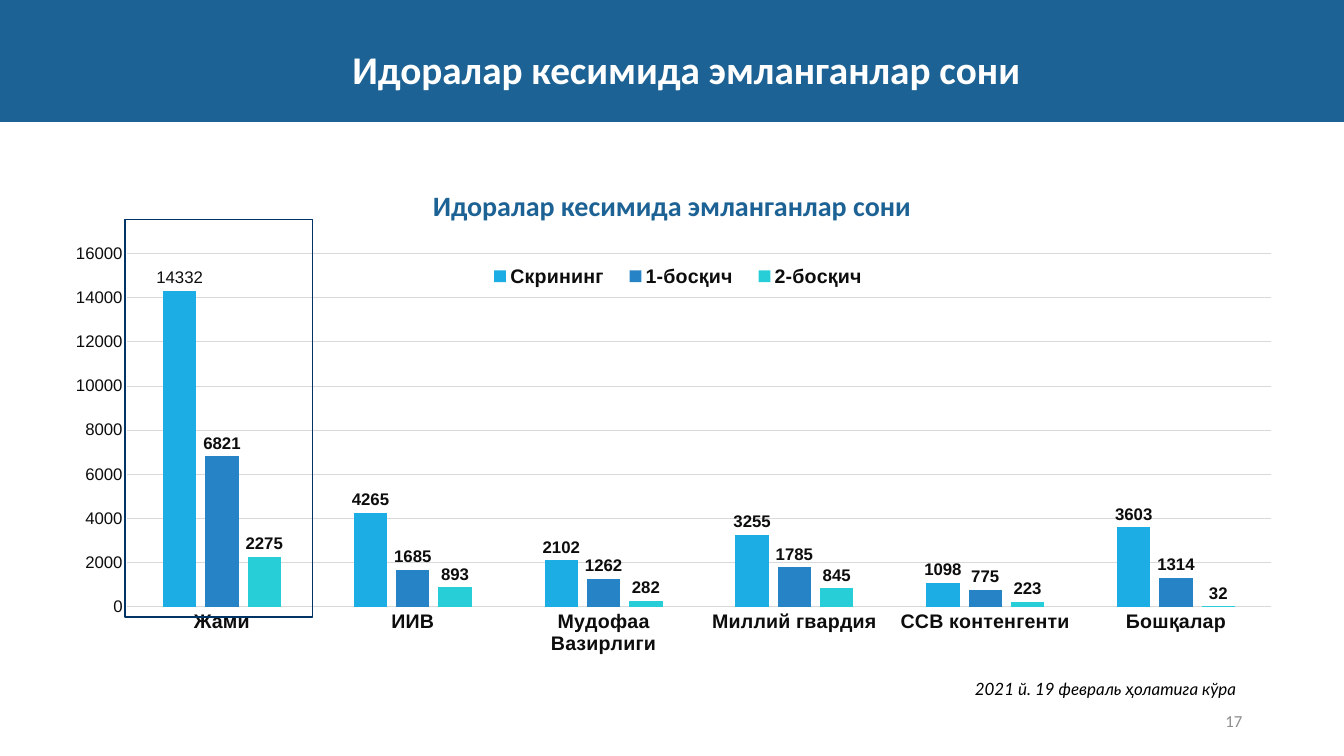
from dataclasses import dataclass
from typing import Any

from lxml import etree
from pptx import Presentation
from pptx import util as u
from pptx.chart import data as cd
from pptx.dml import color as col
from pptx.enum import chart as ec
from pptx.enum import shapes as es
from pptx.enum import text as et

HEAD = "Идоралар кесимида эмланганлар сони"
INK = "0D0D0D"
GRID = "D9D9D9"
LEFT, MID, RIGHT = et.PP_ALIGN.LEFT, et.PP_ALIGN.CENTER, et.PP_ALIGN.RIGHT
TOP, HALF = et.MSO_ANCHOR.TOP, et.MSO_ANCHOR.MIDDLE
CATS = ["Жами", "ИИВ", "Мудофаа Вазирлиги", "Миллий гвардия",
        "ССВ контенгенти", "Бошқалар"]


@dataclass
class Box:
    left: float
    top: float
    width: float
    height: float

    def lens(self) -> list[int]:
        return [u.Inches(n) for n in (self.left, self.top, self.width, self.height)]


@dataclass
class Label:
    box: Box
    words: str
    size: float
    hue: str
    face: str = "Calibri"
    bold: bool = False
    slant: bool = False
    align: Any = MID
    anchor: Any = TOP


@dataclass
class Stage:
    name: str
    hue: str
    vals: list[int]


TITLE = Label(Box(0.52, 0.4, 12.57, 0.57), HEAD, 28, "FFFFFF", bold=True)
LABELS = [
    Label(Box(9.57, 6.68, 3.01, 0.31), "2021 й. 19 февраль ҳолатига кўра", 12.1,
          "000000", face="Lato", slant=True, align=LEFT),
    Label(Box(0.38, 1.82, 12.57, 0.44), HEAD, 20, "1D6295", bold=True),
    Label(Box(9.42, 6.95, 3, 0.4), "17", 12, "8C8C8C", align=RIGHT, anchor=HALF),
]
STAGES = [
    Stage("Скрининг", "1CADE4", [14323, 4265, 2102, 3255, 1098, 3603]),
    Stage("1-босқич", "2683C6", [6821, 1685, 1262, 1785, 775, 1314]),
    Stage("2-босқич", "27CED7", [2275, 893, 282, 845, 223, 32]),
]


def rgb(code: str) -> col.RGBColor:
    return col.RGBColor.from_string(code)


def put(item: Any, vals: dict[str, Any]) -> None:
    for key, val in vals.items():
        setattr(item, key, val)


def style(font: Any, size: float, hue: str = INK, face: str = "Arial",
          bold: bool = False, slant: bool = False) -> None:
    put(font, {"size": u.Pt(size), "name": face, "bold": bold, "italic": slant})
    font.color.rgb = rgb(hue)


def rule(line: Any, hue: str, width: float) -> None:
    line.color.rgb = rgb(hue)
    line.width = u.Pt(width)


def write(shape: Any, label: Label) -> None:
    frame = shape.text_frame
    put(frame, {"word_wrap": True, "auto_size": et.MSO_AUTO_SIZE.NONE,
                "vertical_anchor": label.anchor})
    para = frame.paragraphs[0]
    para.alignment = label.align
    run = para.add_run()
    run.text = label.words
    style(run.font, label.size, label.hue, label.face, label.bold, label.slant)


def block(slide: Any, box: Box) -> Any:
    shape = slide.shapes.add_shape(es.MSO_SHAPE.RECTANGLE, *box.lens())
    shape.shadow.inherit = False
    return shape


def place(part: Any, x: float, y: float, w: float, h: float, inner: bool) -> None:
    space = "http://schemas.openxmlformats.org/drawingml/2006/chart"
    tag = "{" + space + "}"
    for old in part.findall(tag + "layout"):
        part.remove(old)
    lay = etree.Element(tag + "layout")
    man = etree.SubElement(lay, tag + "manualLayout")
    items = {"xMode": "edge", "yMode": "edge", "x": x, "y": y, "w": w, "h": h}
    if inner:
        items = {"layoutTarget": "inner", **items}
    for key, val in items.items():
        etree.SubElement(man, tag + key).set("val", str(val))
    spot = part.find(tag + "legendPos")
    if spot is None:
        part.insert(0, lay)
    else:
        spot.addnext(lay)


def graph(slide: Any, box: Box) -> None:
    data = cd.CategoryChartData()
    data.categories = CATS
    for stage in STAGES:
        data.add_series(stage.name, stage.vals)
    chart = slide.shapes.add_chart(
        ec.XL_CHART_TYPE.COLUMN_CLUSTERED, *box.lens(), data).chart
    put(chart, {"has_title": False, "has_legend": True})
    style(chart.font, 12)

    legend = chart.legend
    put(legend, {"position": ec.XL_LEGEND_POSITION.BOTTOM,
                 "include_in_layout": False})
    style(legend.font, 14, bold=True)
    place(legend.element if hasattr(legend, "element") else legend._element,
          0.34, 0.05, 0.33, 0.06, False)
    place(chart.element.chart.plotArea if hasattr(chart, "element")
          else chart._chartSpace.chart.plotArea, 0.057, 0.035, 0.93, 0.7, True)

    cat, val = chart.category_axis, chart.value_axis
    for axis, size, bold in ((cat, 14, True), (val, 12, False)):
        put(axis, {"major_tick_mark": ec.XL_TICK_MARK.NONE,
                   "minor_tick_mark": ec.XL_TICK_MARK.NONE})
        style(axis.tick_labels.font, size, bold=bold)
    rule(cat.format.line, GRID, 0.75)
    put(val, {"minimum_scale": 0, "maximum_scale": 16000, "major_unit": 2000,
              "has_major_gridlines": True})
    rule(val.major_gridlines.format.line, GRID, 0.75)
    val.format.line.fill.background()

    plot = chart.plots[0]
    put(plot, {"gap_width": 219, "overlap": -27, "vary_by_categories": False})
    for series, stage in zip(plot.series, STAGES):
        series.format.fill.solid()
        series.format.fill.fore_color.rgb = rgb(stage.hue)
        tags = series.data_labels
        put(tags, {"show_value": True,
                   "position": ec.XL_LABEL_POSITION.OUTSIDE_END})
        style(tags.font, 12, bold=True)
    total = plot.series[0].points[0].data_label
    run = total.text_frame.paragraphs[0].add_run()
    run.text = "14332"
    style(run.font, 12)
    total.position = ec.XL_LABEL_POSITION.OUTSIDE_END


def main() -> None:
    deck = Presentation()
    put(deck, {"slide_width": u.Inches(13.33), "slide_height": u.Inches(7.5)})
    slide = deck.slides.add_slide(deck.slide_layouts[5])
    graph(slide, Box(0.56, 2.34, 12.21, 5.01))

    band = block(slide, Box(0, 0, 13.33, 1.21))
    band.fill.solid()
    band.fill.fore_color.rgb = rgb("1D6294")
    band.line.fill.background()

    title = slide.shapes.title
    put(title, dict(zip(("left", "top", "width", "height"), TITLE.box.lens())))
    write(title, TITLE)
    band.element.addnext(title.element)

    for label in LABELS:
        write(slide.shapes.add_textbox(*label.box.lens()), label)

    frame = block(slide, Box(1.24, 2.18, 1.86, 3.94))
    frame.fill.background()
    rule(frame.line, "003366", 1)
    deck.save("out.pptx")


if __name__ == "__main__":
    main()
